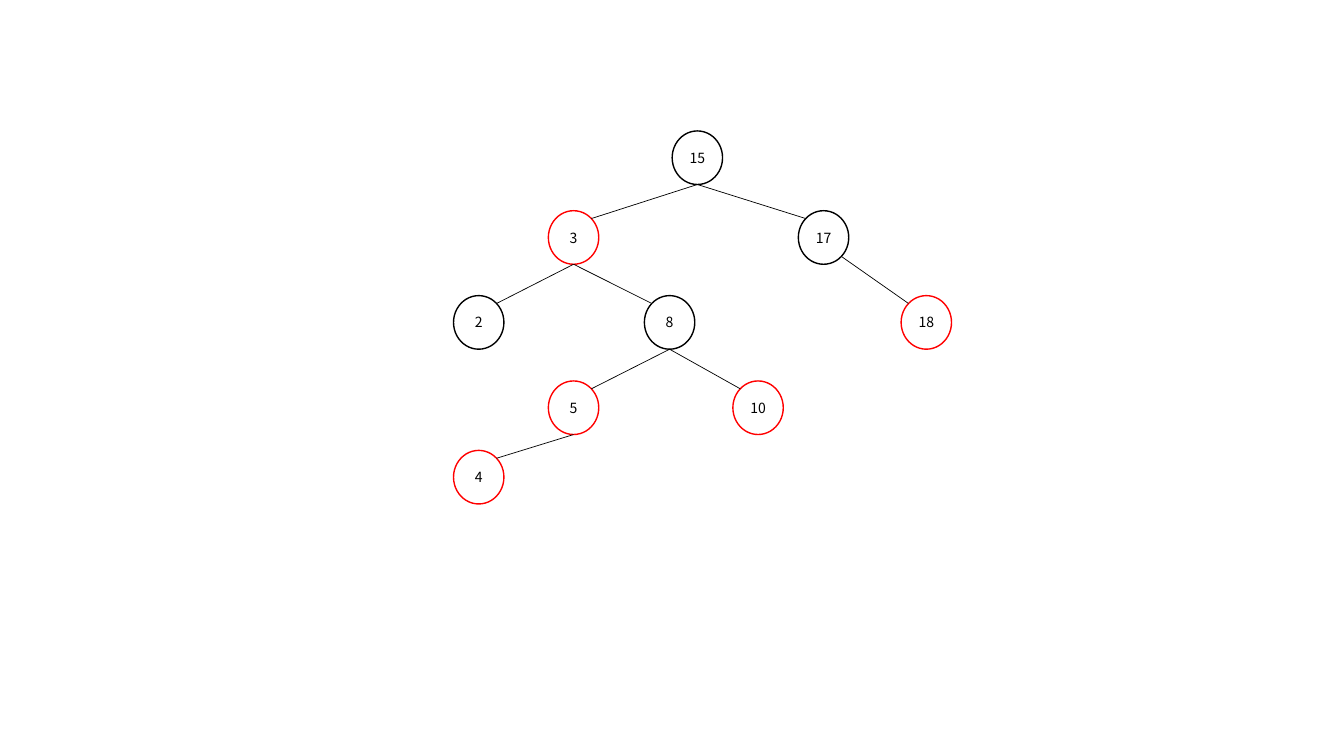
"""Draw a red-black tree with nine nodes on one slide."""
import math
from dataclasses import dataclass

import pptx
import pptx.dml.color
import pptx.enum.shapes
import pptx.enum.text
import pptx.oxml
import pptx.oxml.ns
import pptx.slide
import pptx.util

Cm = pptx.util.Cm
Pt = pptx.util.Pt
BLACK = pptx.dml.color.RGBColor(0x00, 0x00, 0x00)
RED = pptx.dml.color.RGBColor(0xFF, 0x00, 0x00)
WHITE = pptx.dml.color.RGBColor(0xFF, 0xFF, 0xFF)
FONT = "Noto Sans CJK KR"
NODE_WIDTH, NODE_HEIGHT = 1.27, 1.35
LEVEL_TOPS = (3.3, 5.31, 7.45, 9.6, 11.35)
DIAGONAL = math.sqrt(0.5)


@dataclass(frozen=True)
class Node:
    key: int
    left: float
    level: int
    color: pptx.dml.color.RGBColor

    def point(self, across: float, down: float) -> tuple[int, int]:
        center_x = self.left + NODE_WIDTH / 2
        center_y = LEVEL_TOPS[self.level] + NODE_HEIGHT / 2
        return (Cm(center_x + across * NODE_WIDTH / 2),
                Cm(center_y + down * NODE_HEIGHT / 2))


@dataclass(frozen=True)
class Edge:
    parent: int
    child: int
    start_across: float = 0
    start_down: float = 1


NODES = (
    Node(15, 16.94, 0, BLACK),
    Node(3, 13.82, 1, RED),
    Node(17, 20.12, 1, BLACK),
    Node(2, 11.43, 2, BLACK),
    Node(8, 16.24, 2, BLACK),
    Node(18, 22.71, 2, RED),
    Node(5, 13.82, 3, RED),
    Node(10, 18.47, 3, RED),
    Node(4, 11.43, 4, RED),
)
EDGES = (
    Edge(15, 3), Edge(15, 17),
    Edge(3, 2), Edge(3, 8),
    Edge(8, 5), Edge(8, 10),
    Edge(17, 18, DIAGONAL, DIAGONAL),
    Edge(5, 4),
)


def draw_node(page: pptx.slide.Slide, node: Node) -> None:
    circle = page.shapes.add_shape(
        pptx.enum.shapes.MSO_SHAPE.OVAL, Cm(node.left),
        Cm(LEVEL_TOPS[node.level]), Cm(NODE_WIDTH), Cm(NODE_HEIGHT))
    circle.shadow.inherit = False
    circle.fill.solid()
    circle.fill.fore_color.rgb = WHITE
    circle.line.color.rgb = node.color
    circle.line.width = Pt(1)
    frame = circle.text_frame
    frame.word_wrap = False
    frame.vertical_anchor = pptx.enum.text.MSO_ANCHOR.MIDDLE
    para = frame.paragraphs[0]
    para.alignment = pptx.enum.text.PP_ALIGN.CENTER
    span = para.add_run()
    span.text = str(node.key)
    span.font.name = FONT
    span.font.size = Pt(10)
    span.font.color.rgb = BLACK


def draw_edge(page: pptx.slide.Slide, edge: Edge, nodes: dict[int, Node]) -> None:
    parent, child = nodes[edge.parent], nodes[edge.child]
    toward_parent = DIAGONAL if child.left < parent.left else -DIAGONAL
    line = page.shapes.add_connector(
        pptx.enum.shapes.MSO_CONNECTOR.STRAIGHT,
        *parent.point(edge.start_across, edge.start_down),
        *child.point(toward_parent, -DIAGONAL))
    line.line.color.rgb = BLACK
    line.line.width = Pt(0.5)
    properties = line._element.spPr
    properties.append(pptx.oxml.parse_xml(
        f"<a:effectLst {pptx.oxml.ns.nsdecls('a')}/>"))


def main() -> None:
    deck = pptx.Presentation()
    deck.slide_width, deck.slide_height = Cm(33.87), Cm(19.05)
    page = deck.slides.add_slide(deck.slide_layouts.get_by_name("Blank"))
    for node in NODES:
        draw_node(page, node)
    nodes = {node.key: node for node in NODES}
    for edge in EDGES:
        draw_edge(page, edge, nodes)
    deck.save("out.pptx")


if __name__ == "__main__":
    main()
